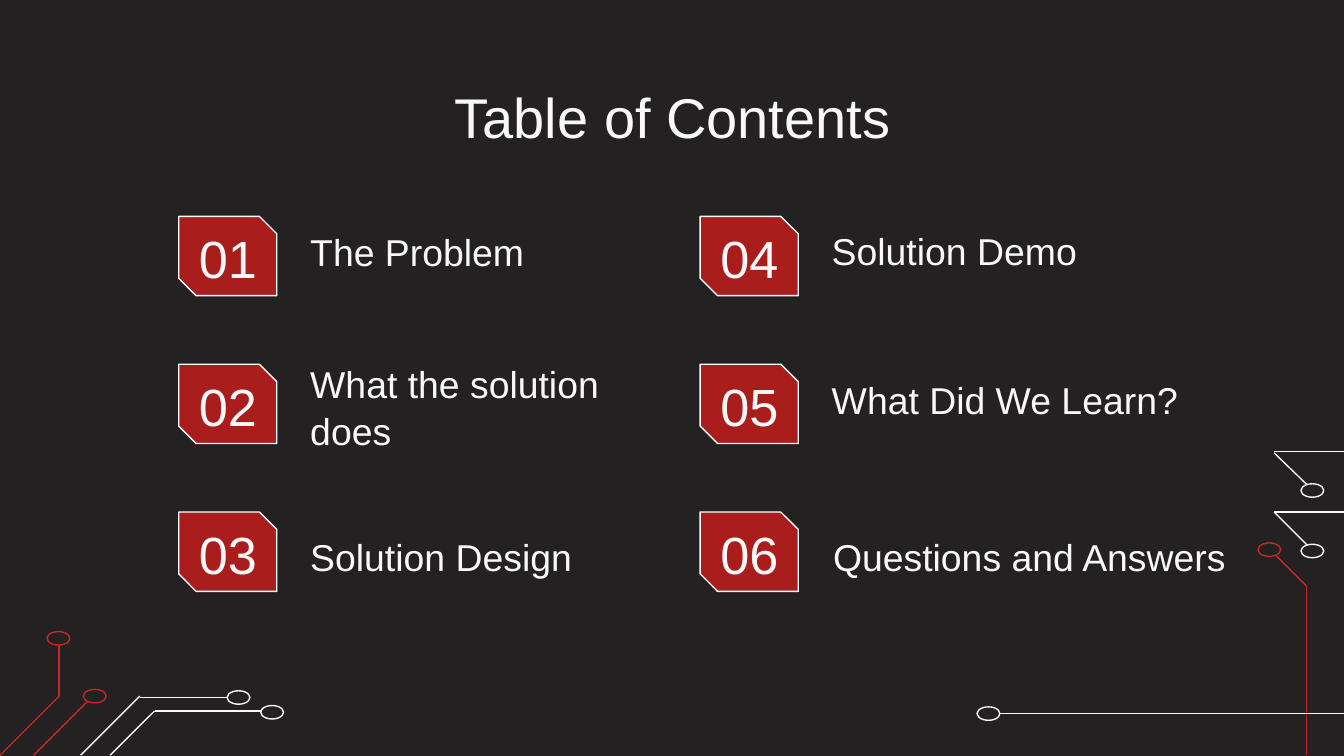
from lxml import etree
from pptx import Presentation
from pptx.dml.color import RGBColor
from pptx.enum.shapes import MSO_CONNECTOR, MSO_SHAPE
from pptx.enum.text import MSO_ANCHOR, PP_ALIGN
from pptx.oxml.ns import qn
from pptx.util import Pt

LINE = MSO_CONNECTOR.STRAIGHT
OVAL = MSO_SHAPE.OVAL
SNIP = MSO_SHAPE.SNIP_2_DIAG_RECTANGLE
TOP, MIDDLE, BOTTOM = MSO_ANCHOR.TOP, MSO_ANCHOR.MIDDLE, MSO_ANCHOR.BOTTOM
LEFT, CENTER = PP_ALIGN.LEFT, PP_ALIGN.CENTER

SCALE = 9144  # EMU per px, 100 px to the inch
COLORS = {"back": "232121", "text": "F8F8F8", "trace": "C92727",
          "badge": "AA1D1D", "edge": "FFFFFF"}


def px(*values):
    return [value * SCALE for value in values]


def color(name):
    return RGBColor.from_string(COLORS[name])


class Deck:
    font = "Arial"
    weight = Pt(0.75)
    spacing = 1.05

    def __init__(self, slide):
        self.slide = slide
        fill = slide.background.fill
        fill.solid()
        fill.fore_color.rgb = color("back")

    def stroke(self, line, name):
        line.color.rgb = color(name)
        line.width = self.weight

    def shape(self, kind, box, fill, edge):
        shape = self.slide.shapes.add_shape(kind, *px(*box))
        shape.shadow.inherit = False
        shape.fill.solid()
        shape.fill.fore_color.rgb = color(fill)
        self.stroke(shape.line, edge)
        return shape

    def badge(self, box):
        shape = self.shape(SNIP, box, "badge", "edge")
        shape.adjustments[0] = 0
        shape.adjustments[1] = 0.22

    def node(self, x, y, name):
        self.shape(OVAL, (x, y, 17, 10), "back", name)

    def line(self, ends, name):
        line = self.slide.shapes.add_connector(LINE, *px(*ends))
        self.stroke(line.line, name)
        etree.SubElement(line._element.spPr, qn("a:effectLst"))

    def text(self, box, words, size, align=LEFT, anchor=BOTTOM, inset=10):
        frame = self.slide.shapes.add_textbox(*px(*box)).text_frame
        frame.word_wrap = True
        frame.vertical_anchor = anchor
        frame.margin_left = frame.margin_right = inset * SCALE
        frame.margin_top = frame.margin_bottom = inset * SCALE
        para = frame.paragraphs[0]
        para.alignment = align
        para.line_spacing = self.spacing
        run = para.add_run()
        run.text = words
        run.font.name = self.font
        run.font.size = Pt(size)
        run.font.color.rgb = color("text")


LINES = {
    "trace": [(972, 562, 972, 436), (947, 411, 972, 436),
              (0, 562, 44, 518), (25, 562, 69, 518), (44, 519, 44, 477)],
    "text": [(744, 531, 1000, 531),
             (948, 381, 977, 410), (948, 381, 1000, 381),
             (948, 337, 977, 365), (948, 336, 1000, 336),
             (60, 562, 104, 518), (169, 519, 104, 519),
             (82, 562, 115, 529), (194, 529, 115, 529)],
}
NODES = {
    "trace": [(936, 404), (62, 513), (35, 470)],
    "text": [(727, 526), (968, 405), (968, 360), (169, 514), (194, 525)],
}
ITEMS = [
    ("The Problem", (221, 132, 269, 82)),
    ("What the solution does", (221, 265, 279, 82)),
    ("Solution Design", (221, 391, 269, 50)),
    ("Solution Demo", (609, 163, 269, 50)),
    ("What Did We Learn?", (609, 271, 355, 53)),
    ("Questions and Answers", (610, 391, 337, 50)),
]
ROWS = 3


def main():
    show = Presentation()
    show.slide_width = 1000 * SCALE
    show.slide_height = show.slide_width * 9 // 16
    deck = Deck(show.slides.add_slide(show.slide_layouts[6]))

    for name, traces in LINES.items():
        for ends in traces:
            deck.line(ends, name)
    for name, spots in NODES.items():
        for x, y in spots:
            deck.node(x, y, name)

    deck.text((79, 49, 843, 63), "Table of Contents", 30, CENTER, TOP)
    for index, (words, box) in enumerate(ITEMS):
        col, row = divmod(index, ROWS)
        x, y = 133 + 388 * col, 161 + 110 * row
        deck.badge((x, y, 73, 59))
        deck.text((x + 7, y + 6, 59, 47), f"{index + 1:02}", 28,
                  CENTER, MIDDLE, 0)
        deck.text(box, words, 20)

    show.save("out.pptx")


if __name__ == "__main__":
    main()
